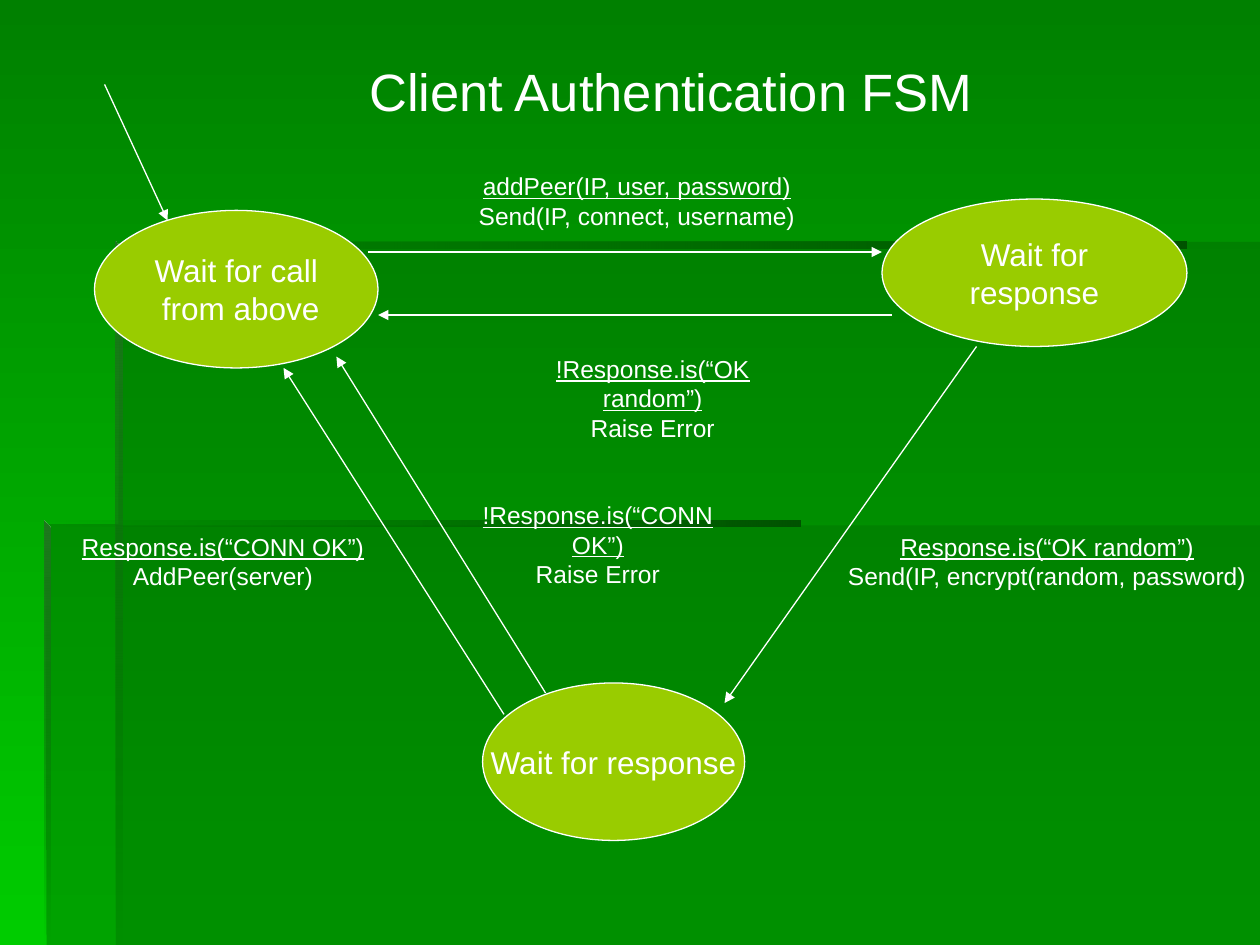
"""Build the client authentication state machine slide."""
from lxml.etree import SubElement
from pptx import Presentation
from pptx.dml.color import RGBColor
from pptx.enum.shapes import MSO_CONNECTOR, MSO_SHAPE
from pptx.enum.text import MSO_ANCHOR, MSO_AUTO_SIZE, PP_ALIGN
from pptx.oxml.ns import qn
from pptx.util import Inches, Pt

WHITE = RGBColor(0xFF, 0xFF, 0xFF)
LIME = RGBColor(0x99, 0xCC, 0x00)
GREEN = RGBColor(0x00, 0x80, 0x00)
BRIGHT = RGBColor(0x00, 0xCC, 0x00)
VEIL = RGBColor(0x00, 0x66, 0x00)
DARK = RGBColor(0x00, 0x53, 0x00)
MOSS = RGBColor(0x1E, 0x78, 0x1E)


def add_panel(shapes, points, alpha, edge=None, angle=0):
    pts = [(Inches(x), Inches(y)) for x, y in points]
    builder = shapes.build_freeform(*pts[0])
    builder.add_line_segments(pts[1:], close=True)
    sp = builder.convert_to_shape()
    sp.shadow.inherit = False
    sp.line.fill.background()
    if edge is None:
        sp.fill.solid()
        sp.fill.fore_color.rgb = VEIL
    else:
        sp.fill.gradient()
        sp.fill.gradient_angle = angle
        for stop, color in zip(sp.fill.gradient_stops, (edge, VEIL)):
            stop.color.rgb = color
    color = list(sp._element.iter(qn("a:srgbClr")))[-1]
    SubElement(color, qn("a:alpha"), val=str(alpha * 1000))


def write_lines(tf, lines, size, align=PP_ALIGN.CENTER, underline_first=False):
    tf.word_wrap = False
    for i, line in enumerate(lines):
        p = tf.paragraphs[0] if i == 0 else tf.add_paragraph()
        p.alignment = align
        r = p.add_run()
        r.text = line
        r.font.name = "Arial"
        r.font.size = Pt(size)
        r.font.color.rgb = WHITE
        if underline_first and i == 0:
            r.font.underline = True


prs = Presentation()
prs.slide_width, prs.slide_height = Inches(10), Inches(7.5)
s = prs.slides.add_slide(prs.slide_layouts[5])

bg = s.background.fill
bg.gradient()
bg.gradient_angle = 270
for stop, color in zip(bg.gradient_stops, (GREEN, BRIGHT)):
    stop.color.rgb = color

add_panel(s.shapes, [(0.95, 1.92), (0.94, 4.16), (0.36, 4.16), (0.37, 7.5), (10, 7.5), (10, 1.92)], 40)
add_panel(s.shapes, [(0.92, 4.17), (0.92, 7.5), (10, 7.5), (10, 4.17)], 30)
for x, y, w in [(0.35, 4.13, 6), (0.92, 1.92, 8.5)]:
    add_panel(s.shapes, [(x, y), (x, y + 0.05), (x + w, y + 0.05), (x + w, y)], 0, DARK, 180)
for x, y in [(0.35, 4.13), (0.92, 1.92)]:
    add_panel(s.shapes, [(x, y), (x, 7.5), (x + 0.05, 7.5), (x + 0.05, y + 0.06)], 0, MOSS, 270)

title = s.shapes.title
title.left, title.top, title.width, title.height = Inches(2.83), Inches(0.42), Inches(5.01), Inches(0.6)
tf = title.text_frame
tf.auto_size = MSO_AUTO_SIZE.NONE
tf.vertical_anchor = MSO_ANCHOR.TOP
write_lines(tf, ["Client Authentication FSM"], 30, PP_ALIGN.LEFT)

states = [
    (0.75, 1.67, 2.25, 1.25, ["Wait for call", " from above"]),
    (7, 1.58, 2.42, 1.17, ["Wait for", "response"]),
    (3.83, 5.42, 2.08, 1.25, ["Wait for response"]),
]
for x, y, w, h, lines in states:
    sp = s.shapes.add_shape(MSO_SHAPE.OVAL, Inches(x), Inches(y), Inches(w), Inches(h))
    sp.shadow.inherit = False
    sp.fill.solid()
    sp.fill.fore_color.rgb = LIME
    sp.line.color.rgb = WHITE
    sp.line.width = Pt(0.75)
    sp.text_frame.vertical_anchor = MSO_ANCHOR.MIDDLE
    write_lines(sp.text_frame, lines, 18)

arrows = [
    (2.92, 2, 7, 2),
    (7.75, 2.75, 5.75, 5.58),
    (4, 5.67, 2.25, 2.92),
    (7.08, 2.5, 3, 2.5),
    (4.33, 5.5, 2.67, 2.83),
    (0.83, 0.67, 1.33, 1.75),
]
for ends in arrows:
    arrow = s.shapes.add_connector(MSO_CONNECTOR.STRAIGHT, *[Inches(v) for v in ends])
    arrow.line.color.rgb = WHITE
    arrow.line.width = Pt(0.75)
    SubElement(arrow.line._get_or_add_ln(), qn("a:tailEnd"), type="triangle")
    SubElement(arrow._element.spPr, qn("a:effectLst"))

labels = [
    (3.69, 1.31, 2.73, "addPeer(IP, user, password)", "Send(IP, connect, username)"),
    (6.62, 4.17, 3.38, "Response.is(“OK random”)", "Send(IP, encrypt(random, password)"),
    (0.55, 4.17, 2.44, "Response.is(“CONN OK”)", "AddPeer(server)"),
    (3.89, 2.76, 2.58, "!Response.is(“OK random”)", "Raise Error"),
    (3.5, 3.92, 2.49, "!Response.is(“CONN OK”)", "Raise Error"),
]
for x, y, w, event, action in labels:
    box = s.shapes.add_textbox(Inches(x), Inches(y), Inches(w), Inches(0.57))
    write_lines(box.text_frame, [event, action], 14, underline_first=True)

prs.save("out.pptx")
